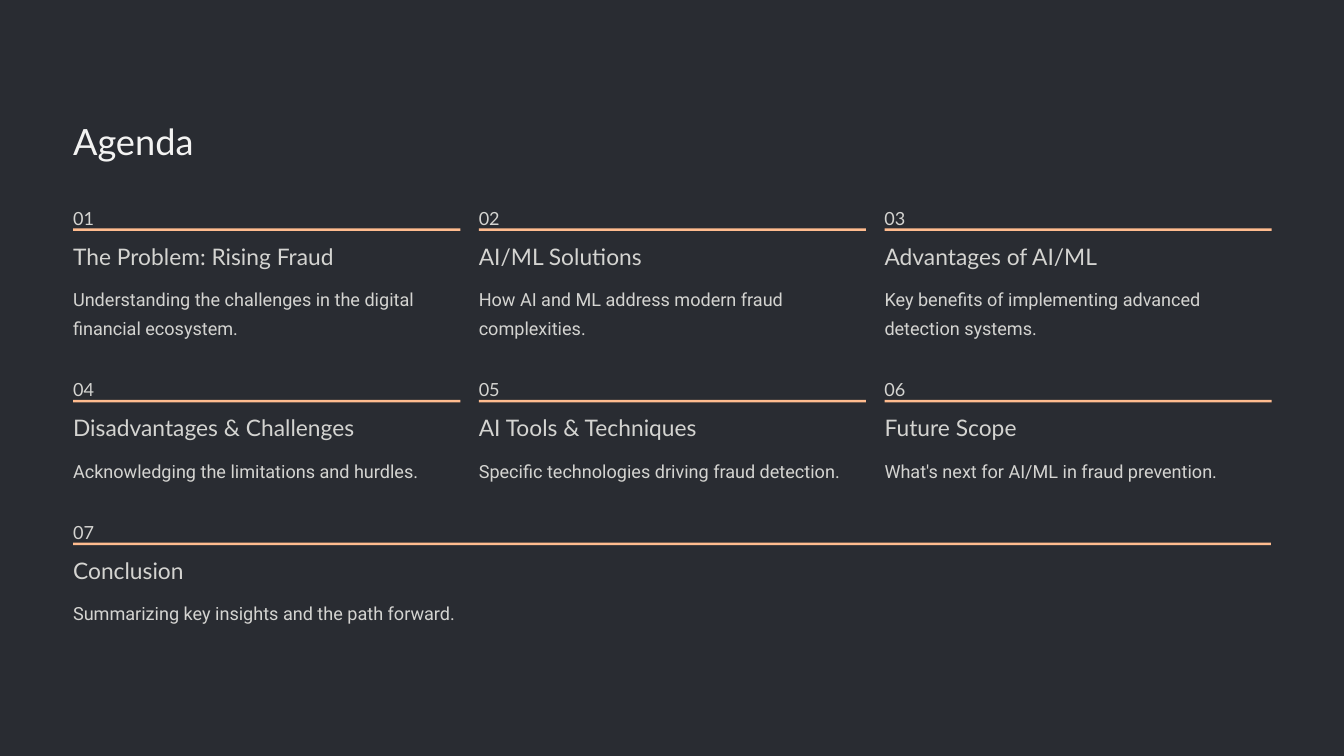
from pptx import Presentation
from pptx.dml.color import RGBColor
from pptx.enum import shapes
from pptx.util import Inches, Pt


def add_block(left, top, width, height, color):
    block = slide.shapes.add_shape(
        shapes.MSO_SHAPE.RECTANGLE,
        Inches(left), Inches(top), Inches(width), Inches(height))
    block.shadow.inherit = False
    block.fill.solid()
    block.fill.fore_color.rgb = RGBColor.from_string(color)
    block.line.fill.background()


def add_text(words, left, top, width, height, size, leading,
             font="Lato", color="D4D4D1", wrap=False):
    box = slide.shapes.add_textbox(Inches(left), Inches(top), Inches(width), Inches(height))
    frame = box.text_frame
    frame.margin_left = frame.margin_top = frame.margin_right = frame.margin_bottom = 0
    frame.word_wrap = wrap
    paragraph = frame.paragraphs[0]
    paragraph.line_spacing = Pt(leading)
    run = paragraph.add_run()
    run.text = words
    run.font.size = Pt(size)
    run.font.name = font
    run.font.color.rgb = RGBColor.from_string(color)


deck = Presentation()
deck.slide_width, deck.slide_height = Inches(16), Inches(9)
slide = deck.slides.add_slide(deck.slide_layouts[6])
add_block(0, 0, 16, 9, "292C32")

margin = 0.87
column_step = 4.83
column_width = 4.61
full_width = 14.26

add_text("Agenda", margin, 1.4, 4.34, 0.54, 31, 39, color="F3F3F2")

agenda_rows = [
    (2.38, column_width, 0.69, [
        ("The Problem: Rising Fraud", 3.27,
         "Understanding the challenges in the digital financial ecosystem."),
        ("AI/ML Solutions", 2.71, "How AI and ML address modern fraud complexities."),
        ("Advantages of AI/ML", 2.71, "Key benefits of implementing advanced detection systems."),
    ]),
    (4.42, column_width, 0.35, [
        ("Disadvantages & Challenges", 3.51, "Acknowledging the limitations and hurdles."),
        ("AI Tools & Techniques", 2.75, "Specific technologies driving fraud detection."),
        ("Future Scope", 2.71, "What's next for AI/ML in fraud prevention."),
    ]),
    (6.12, full_width, 0.35, [
        ("Conclusion", 2.71, "Summarizing key insights and the path forward."),
    ]),
]

number = 0
for top, width, summary_height, topics in agenda_rows:
    for column, (topic, topic_width, summary) in enumerate(topics):
        number += 1
        left = margin + column * column_step
        add_text(f"{number:02}", left, top, 0.3, 0.27, 15.5, 25)
        add_block(left, top + 0.34, width, 0.03, "FFBC8F")
        add_text(topic, left, top + 0.5, topic_width, 0.34, 19.5, 24)
        add_text(summary, left, top + 0.97, width, summary_height, 15.5, 24.8,
                 font="Roboto", wrap=summary_height > 0.5)

deck.save("out.pptx")
